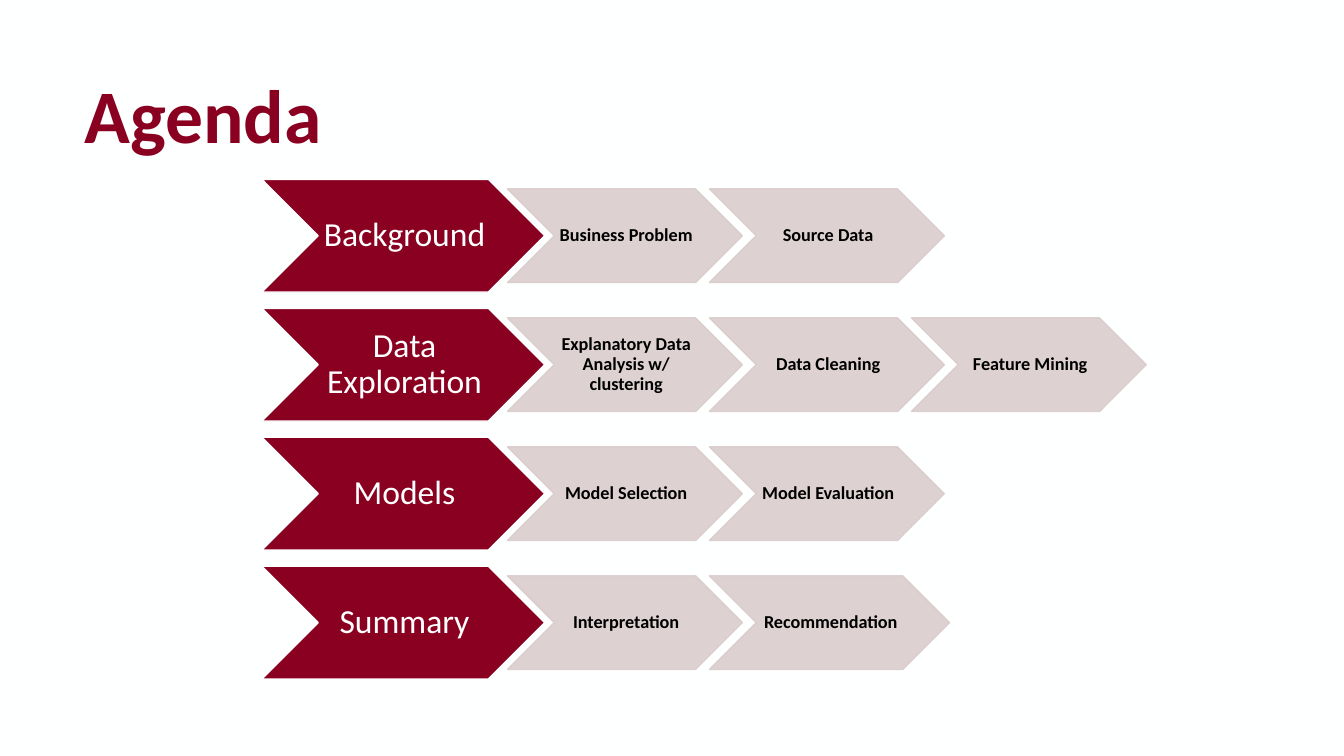
from lxml.etree import SubElement as Sub
from pptx import Presentation as Deck
from pptx.dml.color import RGBColor as Rgb
from pptx.enum.shapes import MSO_SHAPE as Kind
from pptx.enum.text import MSO_ANCHOR as Anchor, PP_ALIGN as Align
from pptx.oxml.ns import qn
from pptx.util import Cm, Pt

RED, ROSE, PAPER, BLACK = "8A0021", "DACCCD", "FEFFFF", "000000"

# Each row: topic, then its steps
ROWS = [
    ("Background", ["Business Problem", "Source Data"]),
    ("Data Exploration", ["Explanatory Data Analysis w/ clustering",
                          "Data Cleaning", "Feature Mining"]),
    ("Models", ["Model Selection", "Model Evaluation"]),
    ("Summary", ["Interpretation", "Recommendation"]),
]

# Grid in centimetres
LEFT, TOP, PITCH = 6.6, 4.52, 3.25
WIDE, HIGH = 7.13, 2.84
STEP_X, STEP_GAP = 12.79, 5.09
STEP_W, STEP_H = 5.92, 2.36
LAST_W = 6.05  # the widest label needs a little more room


def paint(item, color):
    """Give a fill or font a solid colour."""
    if hasattr(item, "solid"):
        item.solid()
        item = item.fore_color
    else:
        item = item.color
    item.rgb = Rgb.from_string(color)


def write(frame, text, size, color, bold, space):
    frame.word_wrap = True
    frame.vertical_anchor = Anchor.MIDDLE
    frame.text = text
    para = frame.paragraphs[0]
    para.line_spacing = space
    font = para.font
    font.name, font.size, font.bold = "Calibri", Pt(size), bold
    paint(font, color)
    return para


def arrow(slide, box, text, fill, edge, size, color, bold=False):
    """Add a chevron with a centred label."""
    shape = slide.shapes.add_shape(Kind.CHEVRON, *map(Cm, box))
    shape.shadow.inherit = False
    paint(shape.fill, fill)
    paint(shape.line, edge)
    shape.line.width = Pt(1)
    frame = shape.text_frame
    frame.margin_left, frame.margin_right = Cm(0.06), 0
    frame.margin_top = frame.margin_bottom = Cm(0.03)
    para = write(frame, text, size, color, bold, 0.9)
    para.alignment = Align.CENTER
    return shape


def fade(shape, share):
    """Set the opacity of fill and line, in percent."""
    for color in shape.element.xpath("./p:spPr//a:srgbClr"):
        Sub(color, qn("a:alpha")).set("val", str(share * 1000))


def title(slide, text):
    box = slide.shapes.add_textbox(Cm(1.88), Cm(1.93), Cm(26.75), Cm(2.29))
    write(box.text_frame, text, 54, RED, True, 0.8)


def row(slide, top, topic, steps):
    arrow(slide, (LEFT, top, WIDE, HIGH), topic, RED, PAPER, 24, PAPER)
    for col, step in enumerate(steps):
        width = LAST_W if step == "Recommendation" else STEP_W
        box = (STEP_X + col * STEP_GAP, top + (HIGH - STEP_H) / 2,
               width, STEP_H)
        fade(arrow(slide, box, step, ROSE, ROSE, 13, BLACK, True), 90)


def main():
    deck = Deck()
    deck.slide_width, deck.slide_height = Cm(33.87), Cm(19.05)
    slide = deck.slides.add_slide(deck.slide_layouts[6])
    paint(slide.background.fill, PAPER)

    # Heading and agenda rows
    title(slide, "Agenda")
    for num, (topic, steps) in enumerate(ROWS):
        row(slide, TOP + num * PITCH, topic, steps)

    deck.save("out.pptx")


if __name__ == "__main__":
    main()
